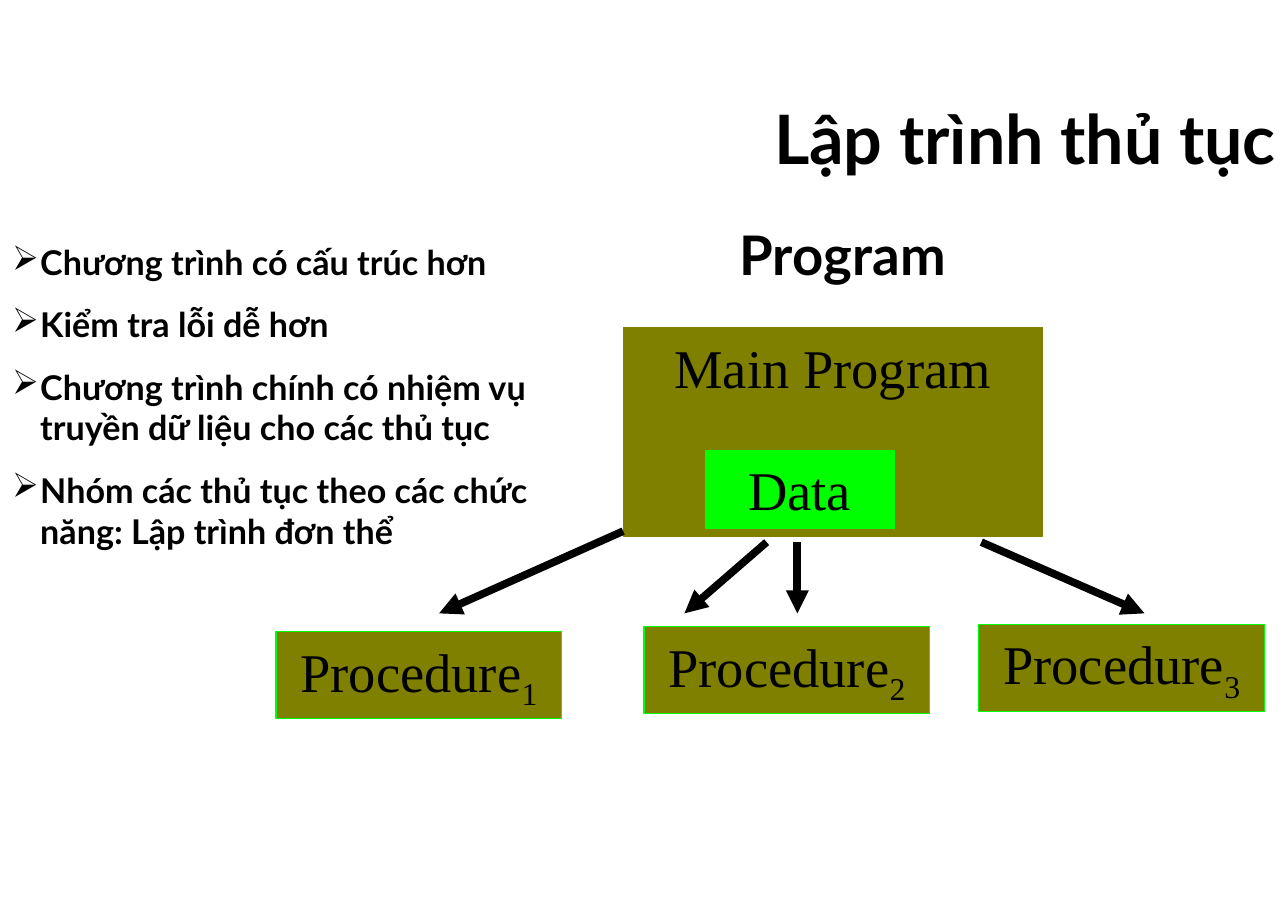
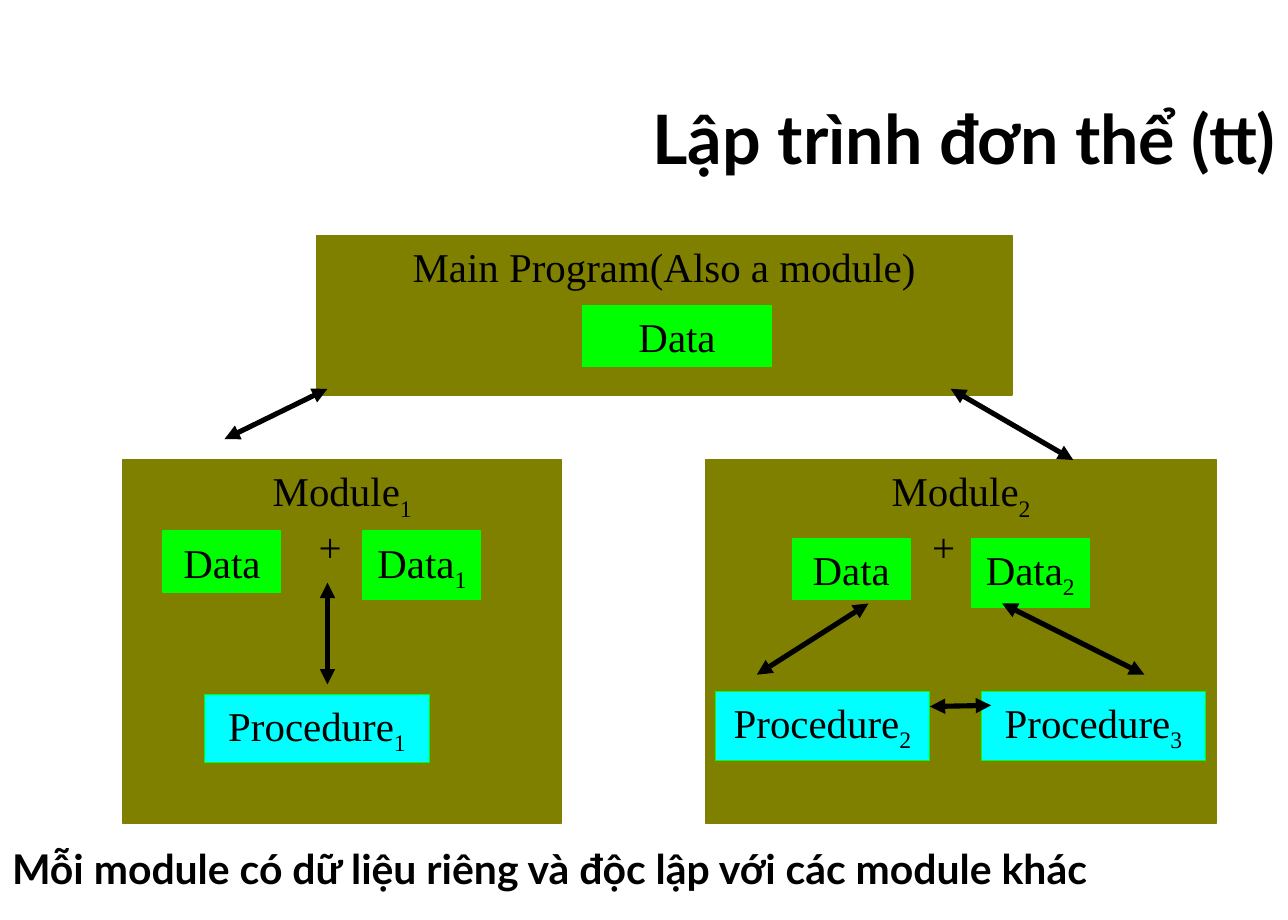
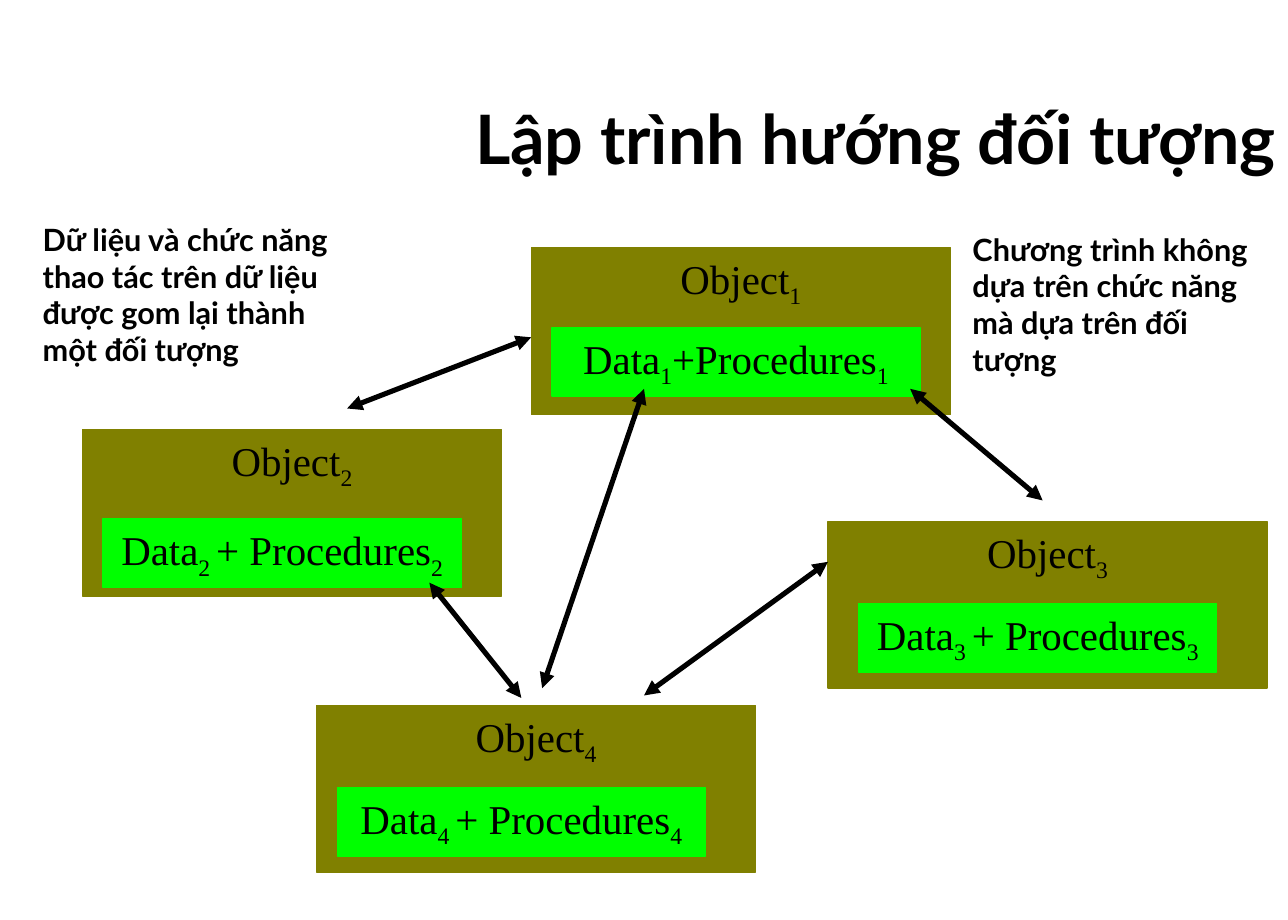
from dataclasses import dataclass

from lxml import etree
from pptx import Presentation
from pptx.dml.color import RGBColor
from pptx.enum.shapes import MSO_CONNECTOR, MSO_SHAPE
from pptx.enum.text import MSO_ANCHOR, MSO_AUTO_SIZE, PP_ALIGN
from pptx.oxml.ns import qn
from pptx.util import Inches, Pt

RECTANGLE = MSO_SHAPE.RECTANGLE
STRAIGHT = MSO_CONNECTOR.STRAIGHT
TOP, BOTTOM = MSO_ANCHOR.TOP, MSO_ANCHOR.BOTTOM
LEFT, CENTER, RIGHT = PP_ALIGN.LEFT, PP_ALIGN.CENTER, PP_ALIGN.RIGHT
NO_AUTOFIT = MSO_AUTO_SIZE.NONE
TITLE_ONLY = 5


@dataclass(frozen=True)
class Theme:
    text: str = "000000"
    olive: str = "808000"
    green: str = "00FF00"
    cyan: str = "00FFFF"
    heading_font: str = "Lato"
    diagram_font: str = "Times New Roman"
    title_size: int = 40
    large_size: int = 32
    diagram_size: int = 24
    bullet_size: int = 20
    note_size: int = 18
    border: float = 0.75
    thin_arrow: float = 3
    thick_arrow: float = 4.5


@dataclass(frozen=True)
class Box:
    """A region in inches; its contents are placed from its top left corner."""
    left: float
    top: float
    width: float
    height: float

    def inner(self, left, top, width, height):
        return Box(self.left + left, self.top + top, width, height)

    def point(self, x, y):
        return self.left + x, self.top + y

    def lengths(self):
        return [Inches(value) for value in (self.left, self.top, self.width, self.height)]


THEME = Theme()
PAGE = Box(0, 0, 10.5, 7.5)
TITLE_BOX = Box(0.47, 0.25, 10.03, 1.25)


# Text
def add_runs(paragraph, pieces, size, font, bold=False):
    """Add runs; every second piece is a subscript."""
    for index, piece in enumerate(pieces):
        run = paragraph.add_run()
        run.text = piece
        run.font.size = Pt(size)
        run.font.name = font
        run.font.bold = bold
        run.font.color.rgb = RGBColor.from_string(THEME.text)
        if index % 2:
            run._r.get_or_add_rPr().set("baseline", "-25000")


def prepare_frame(shape, anchor=TOP):
    frame = shape.text_frame
    frame.word_wrap = True
    frame.auto_size = NO_AUTOFIT
    frame.vertical_anchor = anchor
    return frame


def add_bullet(paragraph, indent):
    properties = paragraph._p.get_or_add_pPr()
    properties.set("marL", str(Inches(indent)))
    properties.set("indent", str(-Inches(indent)))
    color = etree.SubElement(properties, qn("a:buClr"))
    etree.SubElement(color, qn("a:srgbClr")).set("val", THEME.text)
    etree.SubElement(properties, qn("a:buChar")).set("char", "➢")


def add_note(slide, box, lines, size, align=LEFT, bullets=False):
    frame = prepare_frame(slide.shapes.add_textbox(*box.lengths()))
    for index, line in enumerate(lines):
        paragraph = frame.add_paragraph() if index else frame.paragraphs[0]
        paragraph.alignment = align
        if index:
            paragraph.space_before = Pt(12.5)
        if bullets:
            add_bullet(paragraph, 0.23)
        add_runs(paragraph, [line], size, THEME.heading_font, bold=True)


# Diagram elements
def add_block(slide, box, pieces, fill, line=THEME.green, size=THEME.diagram_size):
    shape = slide.shapes.add_shape(RECTANGLE, *box.lengths())
    shape.shadow.inherit = False
    shape.fill.solid()
    shape.fill.fore_color.rgb = RGBColor.from_string(fill)
    shape.line.color.rgb = RGBColor.from_string(line)
    shape.line.width = Pt(THEME.border)
    paragraph = prepare_frame(shape).paragraphs[0]
    paragraph.alignment = CENTER
    add_runs(paragraph, pieces, size, THEME.diagram_font)
    return shape


def add_container(slide, box, pieces, size=THEME.diagram_size):
    return add_block(slide, box, pieces, THEME.olive, THEME.olive, size)


def add_arrow(slide, start, end, width=THEME.thin_arrow, both_ends=True):
    ends = [Inches(value) for value in (*start, *end)]
    arrow = slide.shapes.add_connector(STRAIGHT, *ends)
    arrow.line.color.rgb = RGBColor.from_string(THEME.text)
    arrow.line.width = Pt(width)
    properties = arrow._element.spPr
    outline = properties.get_or_add_ln()
    for tag in ("a:headEnd", "a:tailEnd") if both_ends else ("a:tailEnd",):
        etree.SubElement(outline, qn(tag)).set("type", "triangle")
    etree.SubElement(properties, qn("a:effectLst"))


def add_titled_slide(presentation, text):
    slide = presentation.slides.add_slide(presentation.slide_layouts[TITLE_ONLY])
    title = slide.shapes.title
    title.left, title.top, title.width, title.height = TITLE_BOX.lengths()
    paragraph = prepare_frame(title, BOTTOM).paragraphs[0]
    paragraph.alignment = RIGHT
    add_runs(paragraph, [text], THEME.title_size, THEME.heading_font, bold=True)
    return slide


# Procedural programming
def draw_procedures(slide, box):
    size = THEME.large_size
    add_note(slide, box.inner(3.08, 0, 3.08, 0.64), ["Program"], size, CENTER)
    main_program = box.inner(2.83, 0.92, 3.42, 1.7)
    add_container(slide, main_program, ["Main Program"], size)
    add_block(slide, main_program.inner(0.67, 1, 1.54, 0.64), ["Data"],
              THEME.green, size=size)

    positions = [(0, 3.4), (3, 3.36), (5.73, 3.34)]
    for number, (left, top) in enumerate(positions, 1):
        add_block(slide, box.inner(left, top, 2.33, 0.71), ["Procedure", str(number)],
                  THEME.olive, size=size)

    calls = [((2.83, 2.58), 1.33), ((4, 2.67), 3.33),
             ((4.25, 2.67), 4.25), ((5.75, 2.67), 7.08)]
    for start, end_x in calls:
        add_arrow(slide, box.point(*start), box.point(end_x, 3.25),
                  THEME.thick_arrow, both_ends=False)


def build_procedural_slide(presentation):
    slide = add_titled_slide(presentation, "Lập trình thủ tục")
    draw_procedures(slide, PAGE.inner(2.25, 1.75, 8.06, 4.11))
    add_note(slide, PAGE.inner(0, 1.92, 5, 3.13), [
        "Chương trình có cấu trúc hơn",
        "Kiểm tra lỗi dễ hơn",
        "Chương trình chính có nhiệm vụ truyền dữ liệu cho các thủ tục",
        "Nhóm các thủ tục theo các chức năng: Lập trình đơn thể",
    ], THEME.bullet_size, bullets=True)


# Modular programming
def draw_module(slide, box, number, plus_indent, data, procedures, arrows):
    """data is the place of the first data block and the left of the second."""
    module = add_container(slide, box, ["Module", number])
    plus = module.text_frame.add_paragraph()
    plus.alignment = LEFT
    plus._p.get_or_add_pPr().set("marL", str(Inches(plus_indent)))
    add_runs(plus, ["+"], THEME.diagram_size, THEME.diagram_font)

    left, top, second_left = data
    add_block(slide, box.inner(left, top, 0.96, 0.5), ["Data"], THEME.green)
    add_block(slide, box.inner(second_left, top, 0.96, 0.56), ["Data", number], THEME.green)
    for name, left, top, width in procedures:
        add_block(slide, box.inner(left, top, width, 0.56), ["Procedure", name], THEME.cyan)
    for start, end in arrows:
        add_arrow(slide, box.point(*start), box.point(*end))


def build_modular_slide(presentation):
    slide = add_titled_slide(presentation, "Lập trình đơn thể (tt)")
    main_program = PAGE.inner(2.58, 1.92, 5.67, 1.3)
    add_container(slide, main_program, ["Main Program(Also a module)"])
    add_block(slide, main_program.inner(2.17, 0.57, 1.54, 0.5), ["Data"], THEME.green)

    draw_module(slide, PAGE.inner(1, 3.75, 3.58, 2.96), "1", 1.5, (0.33, 0.58, 1.96),
                [("1", 0.67, 1.91, 1.83)],
                [((1.67, 1), (1.67, 1.83))])
    draw_module(slide, PAGE.inner(5.75, 3.75, 4.17, 2.96), "2", 1.75, (0.71, 0.64, 2.17),
                [("2", 0.08, 1.89, 1.75), ("3", 2.25, 1.89, 1.83)],
                [((1.33, 1.17), (0.42, 1.75)),
                 ((2.42, 1.17), (3.58, 1.75)),
                 ((1.83, 2.01), (2.33, 2))])

    # Links from the main program to its modules
    add_arrow(slide, main_program.point(0.09, 1.25), PAGE.point(1.83, 3.58))
    add_arrow(slide, main_program.point(5.17, 1.25), PAGE.point(8.75, 3.75))
    add_note(slide, PAGE.inner(0, 6.83, 10.5, 0.5),
             ["Mỗi module có dữ liệu riêng và độc lập với các module khác"],
             THEME.diagram_size)


# Object-oriented programming
def draw_object(slide, box, number, joiner, left, top, width):
    """joiner is the subscript's spacing and the text before the last subscript."""
    spacing, procedures = joiner
    add_container(slide, box, ["Object", number])
    add_block(slide, box.inner(left, top, width, 0.56),
              ["Data", number + spacing, procedures, number], THEME.green)


def build_object_slide(presentation):
    slide = add_titled_slide(presentation, "Lập trình hướng đối tượng")
    tight, spaced = ("", "+Procedures"), (" ", "+ Procedures")
    objects = [
        ("1", (4.33, 2.02, 3.42), tight, (0.17, 0.65, 3)),
        ("3", (6.75, 4.25, 3.58), spaced, (0.25, 0.67, 2.92)),
        ("2", (0.67, 3.5, 3.42), spaced, (0.17, 0.73, 2.92)),
        ("4", (2.58, 5.75, 3.58), spaced, (0.17, 0.67, 3)),
    ]
    for number, place, joiner, data in objects:
        draw_object(slide, PAGE.inner(*place, 1.36), number, joiner, *data)

    # Messages between objects
    messages = [
        ((4.33, 2.75), (2.83, 3.33)),
        ((3.5, 4.75), (4.25, 5.69)),
        ((5.25, 3.17), (4.42, 5.61)),
        ((6.75, 4.58), (5.25, 5.67)),
        ((7.42, 3.17), (8.5, 4.08)),
    ]
    for start, end in messages:
        add_arrow(slide, PAGE.point(*start), PAGE.point(*end))

    notes = [
        ((0.25, 1.75, 2.67, 1.6),
         "Dữ liệu và chức năng thao tác trên dữ liệu được gom lại thành một đối tượng"),
        ((7.83, 1.83, 2.67, 1.3),
         "Chương trình không dựa trên chức năng mà dựa trên đối tượng"),
    ]
    for place, text in notes:
        add_note(slide, PAGE.inner(*place), [text], THEME.note_size)


def main():
    presentation = Presentation()
    presentation.slide_width = Inches(PAGE.width)
    presentation.slide_height = Inches(PAGE.height)
    build_procedural_slide(presentation)
    build_modular_slide(presentation)
    build_object_slide(presentation)
    presentation.save("out.pptx")


if __name__ == "__main__":
    main()
